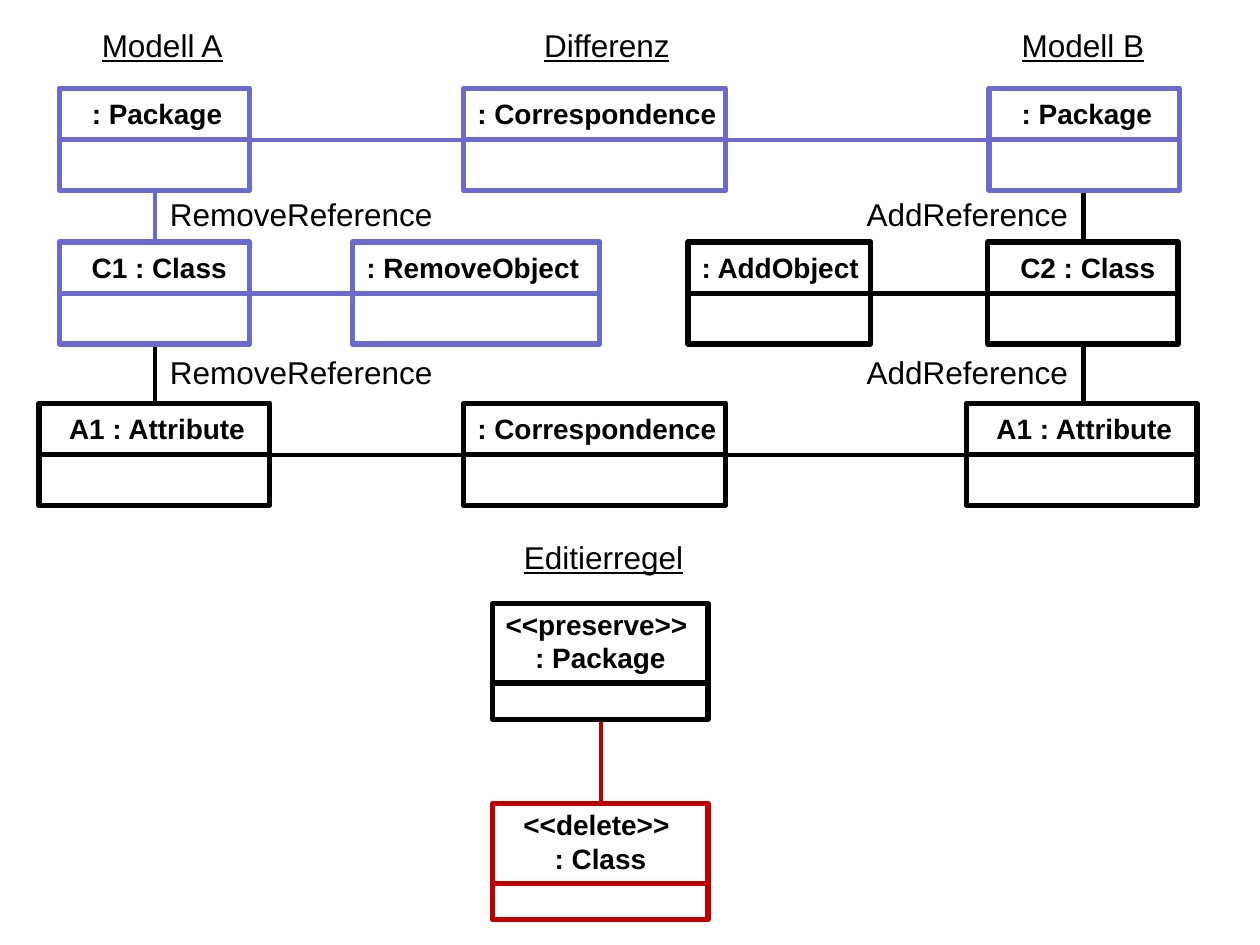
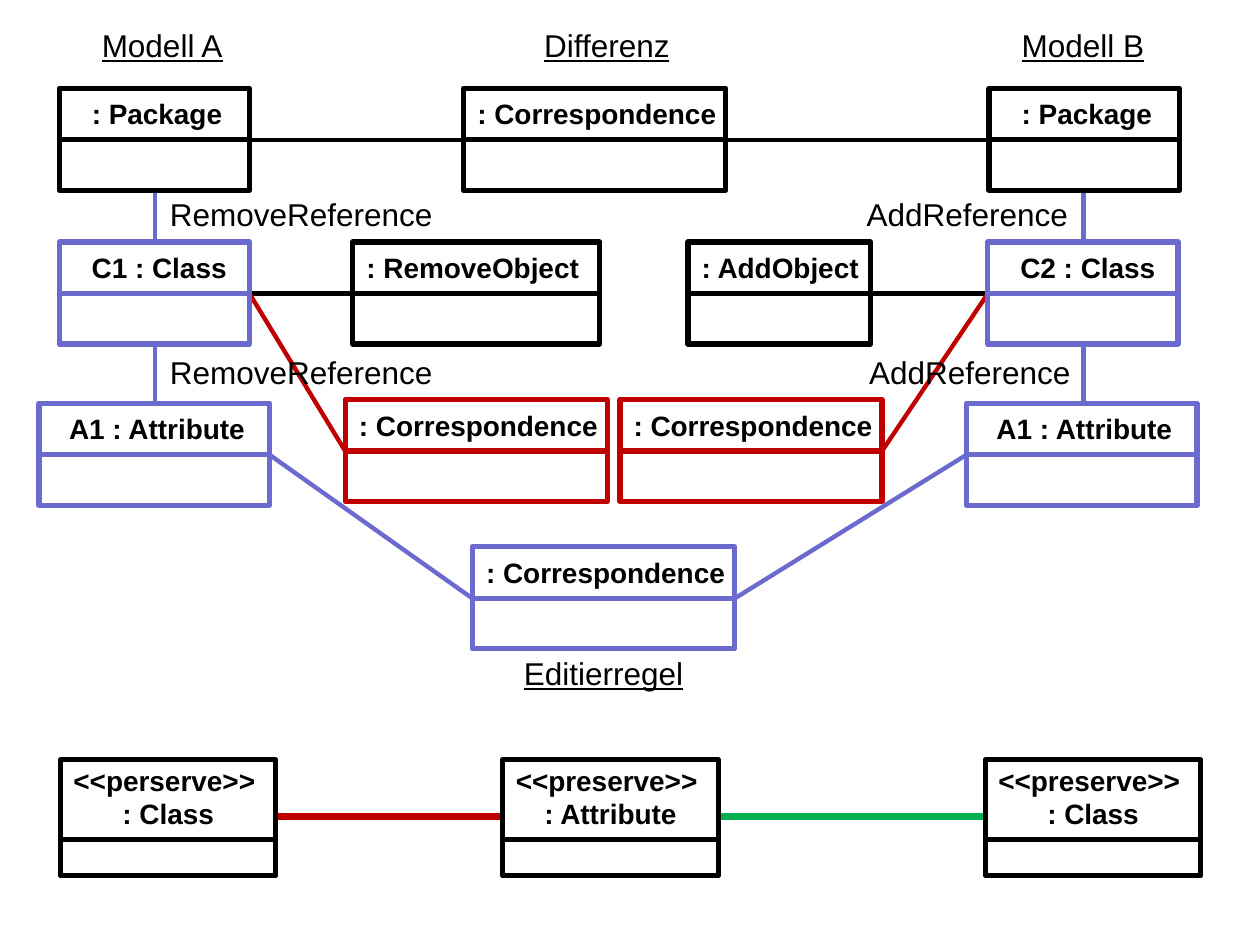
from lxml import etree
from pptx import Presentation
from pptx.dml.color import RGBColor
from pptx.enum.shapes import MSO_CONNECTOR, MSO_SHAPE
from pptx.enum.text import MSO_AUTO_SIZE, PP_ALIGN
from pptx.oxml.ns import qn
from pptx.util import Inches, Pt

STRAIGHT = MSO_CONNECTOR.STRAIGHT
RECTANGLE = MSO_SHAPE.RECTANGLE
FIT_SHAPE = MSO_AUTO_SIZE.SHAPE_TO_FIT_TEXT
LEFT, CENTER = PP_ALIGN.LEFT, PP_ALIGN.CENTER

FONT = "Arial"
COLORS = {"black": "000000", "blue": "6B6BCF", "red": "C00000", "green": "00B050"}

# Object boxes: width, text indent and text width by class
OBJECT_HEIGHT, OBJECT_HEADER = 0.81, 0.41
OBJECT_SIZES = {
    "Package": (1.51, 0.16, 1.25),
    "Class": (1.51, 0.16, 1.37),
    "Attribute": (1.83, 0.14, 1.72),
    "Correspondence": (2.08, 0.01, 2.26),
    "RemoveObject": (1.96, 0.01, 2.04),
    "AddObject": (1.45, 0.01, 1.56),
}
# Edit rule boxes carry a stereotype above the class
RULE_WIDTH, RULE_HEIGHT, RULE_HEADER = 1.71, 0.92, 0.63

# Rows of the model diagram and the points where links meet the boxes
PACKAGE_TOP, CLASS_TOP, ATTRIBUTE_TOP = 0.7, 1.92, 3.2
PACKAGE_MID, CLASS_MID, ATTRIBUTE_MID = 1.11, 2.33, 3.61
LEFT_AXIS, RIGHT_AXIS = 1.23, 8.6

# Objects on both slides: text, left, top
SHARED_OBJECTS = [
    (": Package", 0.47, PACKAGE_TOP),
    (": Correspondence", 3.68, PACKAGE_TOP),
    (": Package", 7.85, PACKAGE_TOP),
    ("C1 : Class", 0.47, CLASS_TOP),
    (": RemoveObject", 2.8, CLASS_TOP),
    (": AddObject", 5.46, CLASS_TOP),
    ("C2 : Class", 7.84, CLASS_TOP),
    ("A1 : Attribute", 0.31, ATTRIBUTE_TOP),
    ("A1 : Attribute", 7.67, ATTRIBUTE_TOP),
]
# Links on both slides: start x, start y, end x, end y
SHARED_LINKS = [
    (1.98, PACKAGE_MID, 3.68, PACKAGE_MID),
    (5.76, PACKAGE_MID, 7.85, PACKAGE_MID),
    (1.98, CLASS_MID, 2.8, CLASS_MID),
    (6.91, CLASS_MID, 7.84, CLASS_MID),
    (LEFT_AXIS, 1.52, LEFT_AXIS, CLASS_TOP),
    (RIGHT_AXIS, 1.52, RIGHT_AXIS, CLASS_TOP),
    (LEFT_AXIS, 2.73, LEFT_AXIS, ATTRIBUTE_TOP),
    (RIGHT_AXIS, 2.73, RIGHT_AXIS, ATTRIBUTE_TOP),
]
# Labels on both slides: text, left, top, width, underlined
SHARED_LABELS = [
    ("Modell A", 0.71, 0.16, 1.17, True),
    ("Differenz", 4.22, 0.16, 1.21, True),
    ("Modell B", 8.01, 0.16, 1.18, True),
    ("RemoveReference", 1.25, 1.5, 2.31, False),
    ("AddReference", 6.78, 1.5, 1.81, False),
    ("RemoveReference", 1.25, 2.75, 2.31, False),
]

# What differs: colours of the shared parts, then the slide's own parts
SLIDES = [
    {
        "object_colors": "blue blue blue blue blue black black black black".split(),
        "link_colors": "blue blue blue black blue black black black".split(),
        "objects": [(": Correspondence", 3.68, ATTRIBUTE_TOP, "black")],
        "rules": [
            ("<<preserve>> \n: Package", 3.91, 4.79, "black"),
            ("<<delete>> \n: Class", 3.91, 6.38, "red"),
        ],
        "links": [
            (2.14, ATTRIBUTE_MID, 3.68, ATTRIBUTE_MID, "black", 2.5),
            (5.76, ATTRIBUTE_MID, 7.67, ATTRIBUTE_MID, "black", 2.5),
            (4.77, 5.71, 4.77, 6.38, "red", 2.5),
        ],
        "labels": [
            ("AddReference", 6.78, 2.75, 1.81, False),
            ("Editierregel", 4.06, 4.22, 1.48, True),
        ],
    },
    {
        "object_colors": "black black black blue black black blue blue blue".split(),
        "link_colors": "black black black black blue blue blue blue".split(),
        "objects": [
            (": Correspondence", 2.74, 3.17, "red"),
            (": Correspondence", 4.92, 3.17, "red"),
            (": Correspondence", 3.75, 4.34, "blue"),
        ],
        "rules": [
            ("<<perserve>> \n: Class", 0.48, 6.03, "black"),
            ("<<preserve>> \n: Attribute", 3.99, 6.03, "black"),
            ("<<preserve>> \n: Class", 7.82, 6.03, "black"),
        ],
        "links": [
            (2.14, ATTRIBUTE_MID, 3.75, 4.75, "blue", 2.5),
            (5.83, 4.75, 7.67, ATTRIBUTE_MID, "blue", 2.5),
            (1.98, CLASS_MID, 2.74, 3.58, "red", 2.5),
            (7, 3.58, 7.84, CLASS_MID, "red", 2.5),
            (2.19, 6.48, 3.98, 6.48, "red", 4),
            (5.7, 6.48, 7.81, 6.48, "green", 4),
        ],
        "labels": [
            ("AddReference", 6.8, 2.75, 1.81, False),
            ("Editierregel", 4.06, 5.14, 1.48, True),
        ],
    },
]


def add_line(shapes, start_x, start_y, end_x, end_y, color, width):
    line = shapes.add_connector(
        STRAIGHT, Inches(start_x), Inches(start_y), Inches(end_x), Inches(end_y))
    line.line.color.rgb = RGBColor.from_string(COLORS[color])
    line.line.width = Pt(width)
    etree.SubElement(line._element.spPr, qn("a:effectLst"))


def add_text(shapes, text, left, top, width, height, size,
             bold=False, underline=False, alignment=LEFT):
    box = shapes.add_textbox(Inches(left), Inches(top), Inches(width), Inches(height))
    box.text_frame.word_wrap = False
    box.text_frame.auto_size = FIT_SHAPE
    box.text_frame.text = text
    for paragraph in box.text_frame.paragraphs:
        paragraph.alignment = alignment
        font = paragraph.runs[0].font
        font.name, font.size = FONT, Pt(size)
        font.bold, font.underline = bold, underline
        font.color.rgb = RGBColor.from_string(COLORS["black"])


presentation = Presentation()
presentation.slide_width, presentation.slide_height = Inches(10), Inches(7.5)
blank_layout = presentation.slide_layouts[6]

for content in SLIDES:
    slide = presentation.slides.add_slide(blank_layout)

    # Links, under the boxes they join
    for link, color in zip(SHARED_LINKS, content["link_colors"]):
        add_line(slide.shapes, *link, color, 2.5)
    for link in content["links"]:
        add_line(slide.shapes, *link)

    # Boxes: outline, divider and header text in one group
    objects = [(*item, color)
               for item, color in zip(SHARED_OBJECTS, content["object_colors"])]
    for text, left, top, color in objects + content["objects"] + content["rules"]:
        is_rule = "\n" in text
        if is_rule:
            width, height, header = RULE_WIDTH, RULE_HEIGHT, RULE_HEADER
        else:
            width, indent, text_width = OBJECT_SIZES[text.split(": ")[1]]
            height, header = OBJECT_HEIGHT, OBJECT_HEADER
        group = slide.shapes.add_group_shape()
        outline = group.shapes.add_shape(
            RECTANGLE, Inches(left), Inches(top), Inches(width), Inches(height))
        outline.shadow.inherit = False
        outline.fill.background()
        outline.line.color.rgb = RGBColor.from_string(COLORS[color])
        outline.line.width = Pt(3)
        add_line(group.shapes, left, top + header, left + width, top + header, color, 3)
        if is_rule:
            add_text(group.shapes, text, left, top - 0.02, width, 0.64, 16,
                     bold=True, alignment=CENTER)
        else:
            add_text(group.shapes, text, left + indent, top + 0.02, text_width, 0.37, 16,
                     bold=True)

    # Column headings and reference labels
    for text, left, top, width, underline in SHARED_LABELS + content["labels"]:
        add_text(slide.shapes, text, left, top, width, 0.4, 18, underline=underline)

presentation.save("out.pptx")
